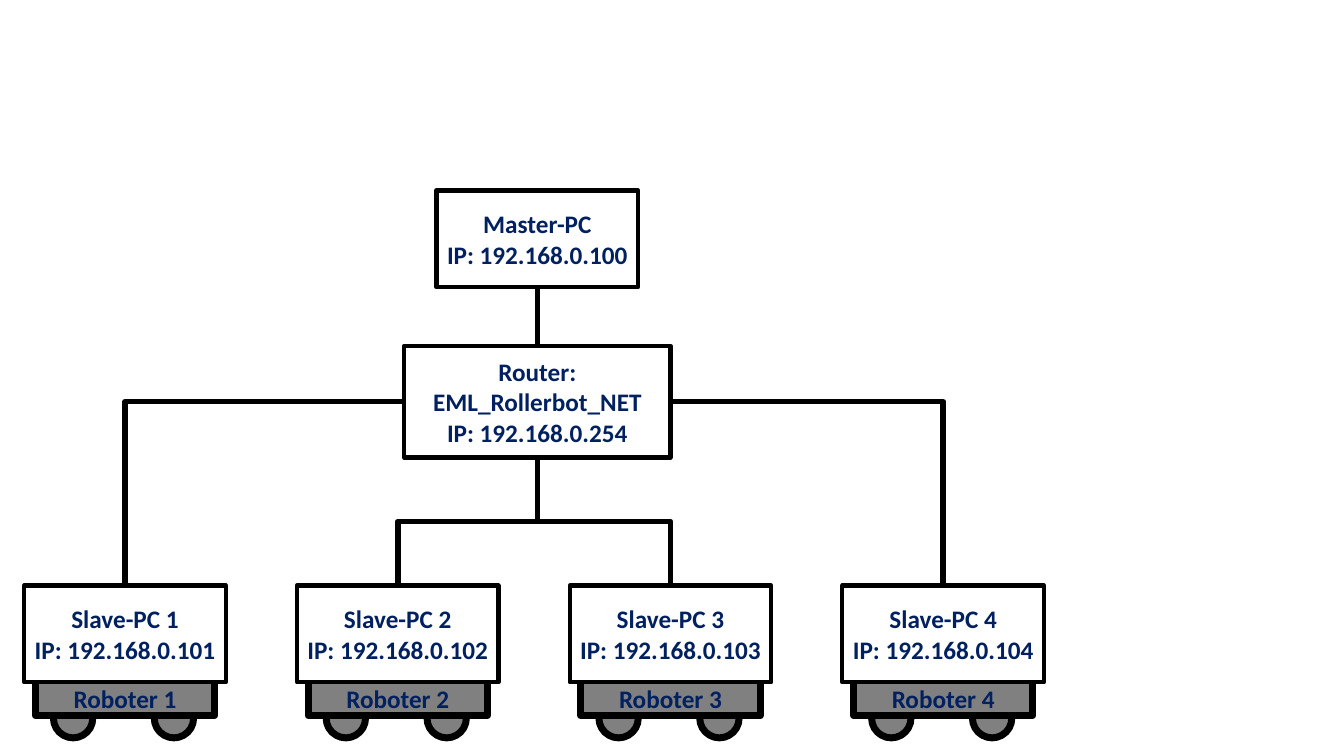
from pptx import Presentation
from pptx import util as u
from pptx.dml.color import RGBColor
from pptx.enum import shapes, text
from pptx.oxml import xmlchemy as xc
from lxml import etree

WHITE = RGBColor(0xFF, 0xFF, 0xFF)
BLACK = RGBColor(0x00, 0x00, 0x00)
GRAY = RGBColor(0x80, 0x80, 0x80)
NAVY = RGBColor(0x00, 0x20, 0x60)

RECT, OVAL = shapes.MSO_SHAPE.RECTANGLE, shapes.MSO_SHAPE.OVAL
TOP, LEFT, BOTTOM, RIGHT = range(4)  # connection sites of a rectangle

# Grid in inches: four robot columns, rows from the master down to the wheels
COL_LEFT, COL_PITCH = 0.24, 2.705
PC_W, PC_H = 2, 0.96
CENTER = 5.33
MASTER_Y, ROUTER_Y, SLAVE_Y, BODY_Y, WHEEL_Y = 1.89, 3.43, 5.81, 6.75, 6.93
ROUTER_W, ROUTER_H = 2.64, 1.11
BODY_W, BODY_H = 1.78, 0.35
WHEEL, WHEEL_OFFSETS = 0.39, (0.29, 1.29)

prs = Presentation()
prs.slide_width, prs.slide_height = u.Inches(13.33), u.Inches(7.5)
s = prs.slides.add_slide(prs.slide_layouts[6])


def add_box(parent, kind, x, y, w, h, fill, line_pt, label=""):
    """Add an outlined shape with an optional centred bold label."""
    sp = parent.add_shape(kind, *(u.Inches(v) for v in (x, y, w, h)))
    sp.shadow.inherit = False
    sp.fill.solid()
    sp.fill.fore_color.rgb = fill
    sp.line.color.rgb = BLACK
    sp.line.width = u.Pt(line_pt)
    if label:
        tf = sp.text_frame
        tf.word_wrap = True
        tf.margin_left = tf.margin_right = u.Inches(0.05)
        tf.vertical_anchor = text.MSO_ANCHOR.MIDDLE
        tf.text = label
        for p in tf.paragraphs:
            p.alignment = text.PP_ALIGN.CENTER
            f = p.runs[0].font
            f.name, f.size, f.bold = "Calibri", u.Pt(18), True
            f.color.rgb = NAVY
    return sp


def link(kind, start, start_site, end, end_site):
    """Join two boxes with a thick black connector and return it."""
    cxn = s.shapes.add_connector(kind, 0, 0, 0, 0)
    cxn.begin_connect(start, start_site)
    cxn.end_connect(end, end_site)
    cxn.line.color.rgb = BLACK
    cxn.line.width = u.Pt(4)
    etree.SubElement(cxn._element.spPr, xc.qn("a:effectLst"))
    return cxn


master = add_box(s.shapes, RECT, CENTER - PC_W / 2, MASTER_Y, PC_W, PC_H,
                 WHITE, 3, "Master-PC\nIP: 192.168.0.100")

slaves = []
for i in range(4):
    n, x = i + 1, COL_LEFT + i * COL_PITCH
    robot = s.shapes.add_group_shape().shapes
    for offset in WHEEL_OFFSETS:
        add_box(robot, OVAL, x + offset, WHEEL_Y, WHEEL, WHEEL, GRAY, 5)
    add_box(robot, RECT, x + (PC_W - BODY_W) / 2, BODY_Y, BODY_W, BODY_H,
            GRAY, 5, f"Roboter {n}")
    slaves.append(add_box(robot, RECT, x, SLAVE_Y, PC_W, PC_H, WHITE, 3,
                          f"Slave-PC {n}\nIP: 192.168.0.{100 + n}"))

router = add_box(s.shapes, RECT, CENTER - ROUTER_W / 2, ROUTER_Y, ROUTER_W, ROUTER_H,
                 WHITE, 3, "Router: EML_Rollerbot_NET\nIP: 192.168.0.254")

link(shapes.MSO_CONNECTOR.STRAIGHT, master, BOTTOM, router, TOP)

# Outer robots: one bend, sideways and then down
for slave, side in ((slaves[0], LEFT), (slaves[3], RIGHT)):
    cxn = link(shapes.MSO_CONNECTOR.ELBOW, router, side, slave, TOP)
    cxn._element.spPr.find(xc.qn("a:prstGeom")).set("prst", "bentConnector2")

# Inner robots: two bends, so the elbow is turned by a quarter to leave downwards
for slave, turn, flip in ((slaves[1], 90, "0"), (slaves[2], 270, "1")):
    cxn = link(shapes.MSO_CONNECTOR.ELBOW, router, BOTTOM, slave, TOP)
    mid_x, mid_y = cxn.left + cxn.width // 2, cxn.top + cxn.height // 2
    cxn.width, cxn.height = cxn.height, cxn.width
    cxn.left, cxn.top = mid_x - cxn.width // 2, mid_y - cxn.height // 2
    xfrm = cxn._element.spPr.find(xc.qn("a:xfrm"))
    xfrm.set("rot", str(turn * 60000))
    xfrm.set("flipH", flip)

prs.save("out.pptx")
